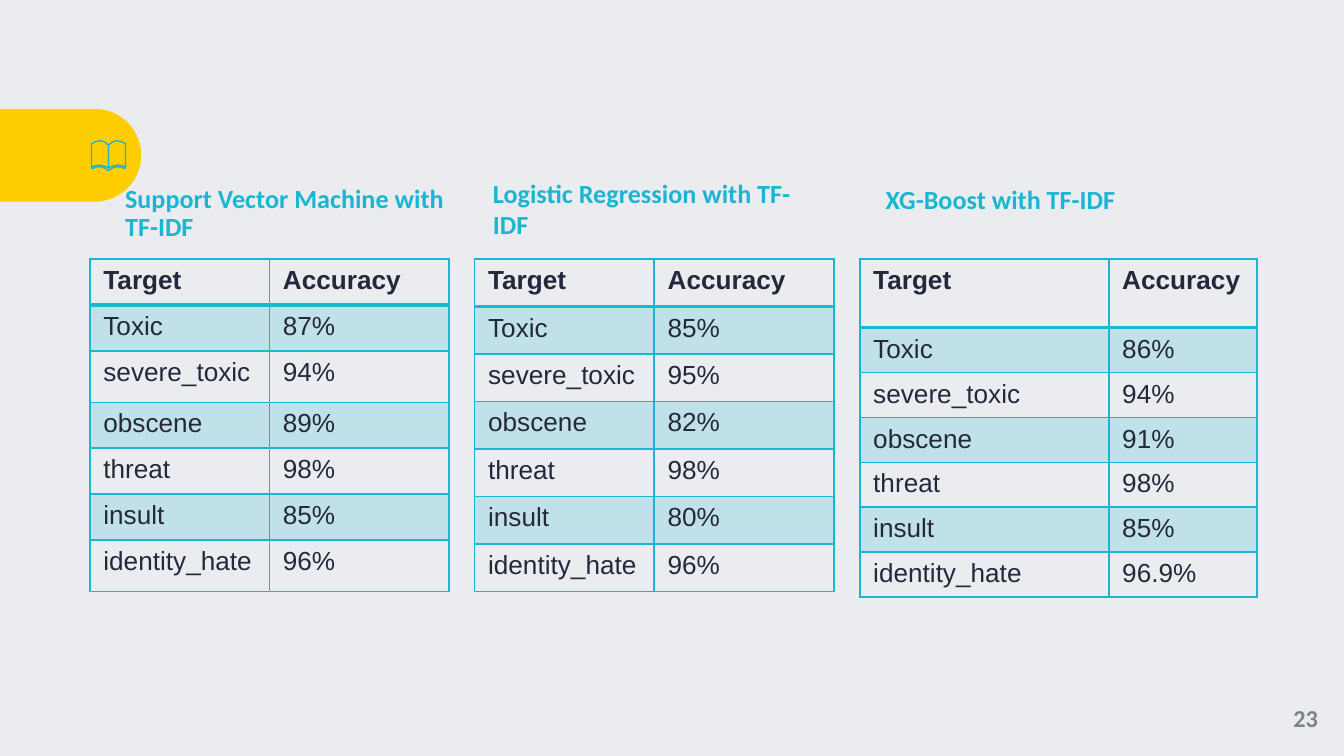
import pptx
import pptx.util
import pptx.dml.color
import pptx.enum.shapes
import pptx.enum.text
import pptx.oxml
import pptx.oxml.ns
import lxml.etree

Pt = pptx.util.Pt
RGB = pptx.dml.color.RGBColor
ALIGN = pptx.enum.text.PP_ALIGN
ANCHOR = pptx.enum.text.MSO_ANCHOR
KIND = pptx.enum.shapes.MSO_SHAPE

HUES = {"back": "EAECF0", "tab": "FFCE00", "teal": "1AB6D1", "ink": "24283B", "grey": "80828B"}

LABELS = ["Target", "Toxic", "severe_toxic", "obscene", "threat", "insult", "identity_hate"]
MODELS = [
    {
        "name": "Support Vector Machine with TF-IDF",
        "box": (67, 90, 180.7, 49.7),
        "form": {"space": 0.9},
        "left": 48.2,
        "cols": (96.2, 96.2),
        "rows": (24.6, 24.6, 27.6, 24.6, 24.6, 24.6, 27.6),
        "scores": ["87%", "94%", "89%", "98%", "85%", "96%"],
    },
    {
        "name": "Logistic Regression with TF-IDF",
        "box": (257, 91.4, 180.7, 41),
        "form": {"anchor": ANCHOR.TOP, "inset": (7.2, 3.6)},
        "left": 254.3,
        "cols": (96.2, 96.2),
        "rows": (25.45,) * 7,
        "scores": ["85%", "95%", "82%", "98%", "80%", "96%"],
    },
    {
        "name": "XG-Boost with TF-IDF",
        "box": (474.5, 82.8, 187.2, 49.7),
        "form": {"space": 0.9},
        "left": 460.6,
        "cols": (133.4, 79.4),
        "rows": (36.8,) + (24,) * 6,
        "scores": ["86%", "94%", "91%", "98%", "85%", "96.9%"],
    },
]
TOP = 138.8
SPINE = 58.1
PAGE = [(0, 77.8), (0, 90), (2, 89), (4.5, 88.5), (6.5, 88.6), (8.4, 89.3), (9.1, 88.6),
        (9.1, 77), (6.8, 75.8), (4.3, 75.4), (2, 76.1)]
COVER = [(9.1, 88.6), (9.1, 90), (8.2, 90.2), (6.5, 89.5), (4.5, 89.3), (2, 90), (0, 91.4)]


def hue(name):
    return RGB.from_string(HUES[name])


def write(frame, text, font="Calibri", size=14, color="teal", bold=True, align=ALIGN.LEFT,
          anchor=ANCHOR.MIDDLE, inset=(0, 0), space=1.0):
    frame.word_wrap = True
    frame.vertical_anchor = anchor
    frame.margin_left = frame.margin_right = Pt(inset[0])
    frame.margin_top = frame.margin_bottom = Pt(inset[1])
    para = frame.paragraphs[0]
    para.alignment = align
    para.line_spacing = space
    para.space_before = Pt(0)
    run = para.add_run()
    run.text = text
    run.font.name = font
    run.font.size = Pt(size)
    run.font.bold = bold
    run.font.color.rgb = hue(color)


def place(shape, box):
    shape.left, shape.top, shape.width, shape.height = map(Pt, box)


def edge(cell, row):
    props = cell._tc.get_or_add_tcPr()
    for side in "LRTB":
        thick = (row, side) in ((0, "B"), (1, "T"))
        line = lxml.etree.SubElement(props, pptx.oxml.ns.qn("a:ln" + side), w=str(Pt(2 if thick else 1)))
        solid = lxml.etree.SubElement(line, pptx.oxml.ns.qn("a:solidFill"))
        lxml.etree.SubElement(solid, pptx.oxml.ns.qn("a:srgbClr"), val=HUES["teal"])


def shade(cell, row):
    if row % 2 == 0:
        cell.fill.background()
        return
    cell.fill.solid()
    cell.fill.fore_color.rgb = hue("teal")
    color = cell._tc.tcPr.find(pptx.oxml.ns.qn("a:solidFill"))[0]
    lxml.etree.SubElement(color, pptx.oxml.ns.qn("a:alpha"), val="20000")


def grid(shapes, model):
    cols, rows = model["cols"], model["rows"]
    box = map(Pt, (model["left"], TOP, sum(cols), sum(rows)))
    table = shapes.add_table(len(rows), len(cols), *box).table
    for col, width in zip(table.columns, cols):
        col.width = Pt(width)
    data = zip(LABELS, ["Accuracy"] + model["scores"])
    for r, (pair, height) in enumerate(zip(data, rows)):
        table.rows[r].height = Pt(height)
        for c, text in enumerate(pair):
            cell = table.cell(r, c)
            write(cell.text_frame, text, font="Arial", color="ink", bold=r == 0,
                  anchor=ANCHOR.TOP, inset=(7.2, 3.6))
            cell.vertical_anchor = ANCHOR.TOP
            edge(cell, r)
            shade(cell, r)


def trace(shapes, points, side, close):
    spots = [(Pt(SPINE + side * x), Pt(y)) for x, y in points]
    pen = shapes.build_freeform(*spots[0], scale=1.0)
    pen.add_line_segments(spots[1:], close=close)
    shape = pen.convert_to_shape()
    shape.shadow.inherit = False
    shape.fill.background()
    shape.line.color.rgb = hue("teal")
    shape.line.width = Pt(0.75)


def main():
    deck = pptx.Presentation()
    deck.slide_width, deck.slide_height = Pt(720), Pt(405)
    slide = deck.slides.add_slide(deck.slide_layouts[5])
    slide.background.fill.solid()
    slide.background.fill.fore_color.rgb = hue("back")
    shapes = slide.shapes
    title = shapes.title

    tab = shapes.add_shape(KIND.ROUND_2_SAME_RECTANGLE, *map(Pt, (13, 45.4, 49.7, 75.6)))
    tab.rotation = 90
    tab.adjustments[0] = 0.5
    tab.shadow.inherit = False
    tab.fill.solid()
    tab.fill.fore_color.rgb = hue("tab")
    tab.line.fill.background()
    title.element.addprevious(tab.element)

    for side in (-1, 1):
        trace(shapes, COVER, side, False)
        trace(shapes, PAGE, side, True)

    for i, model in enumerate(MODELS):
        grid(shapes, model)
        head = title if i == 0 else shapes.add_textbox(0, 0, 0, 0)
        place(head, model["box"])
        write(head.text_frame, model["name"], **model["form"])

    number = shapes.add_textbox(*map(Pt, (679, 364.5, 41, 40.5)))
    write(number.text_frame, "23", size=13, color="grey", align=ALIGN.CENTER)
    deck.save("out.pptx")


if __name__ == "__main__":
    main()
